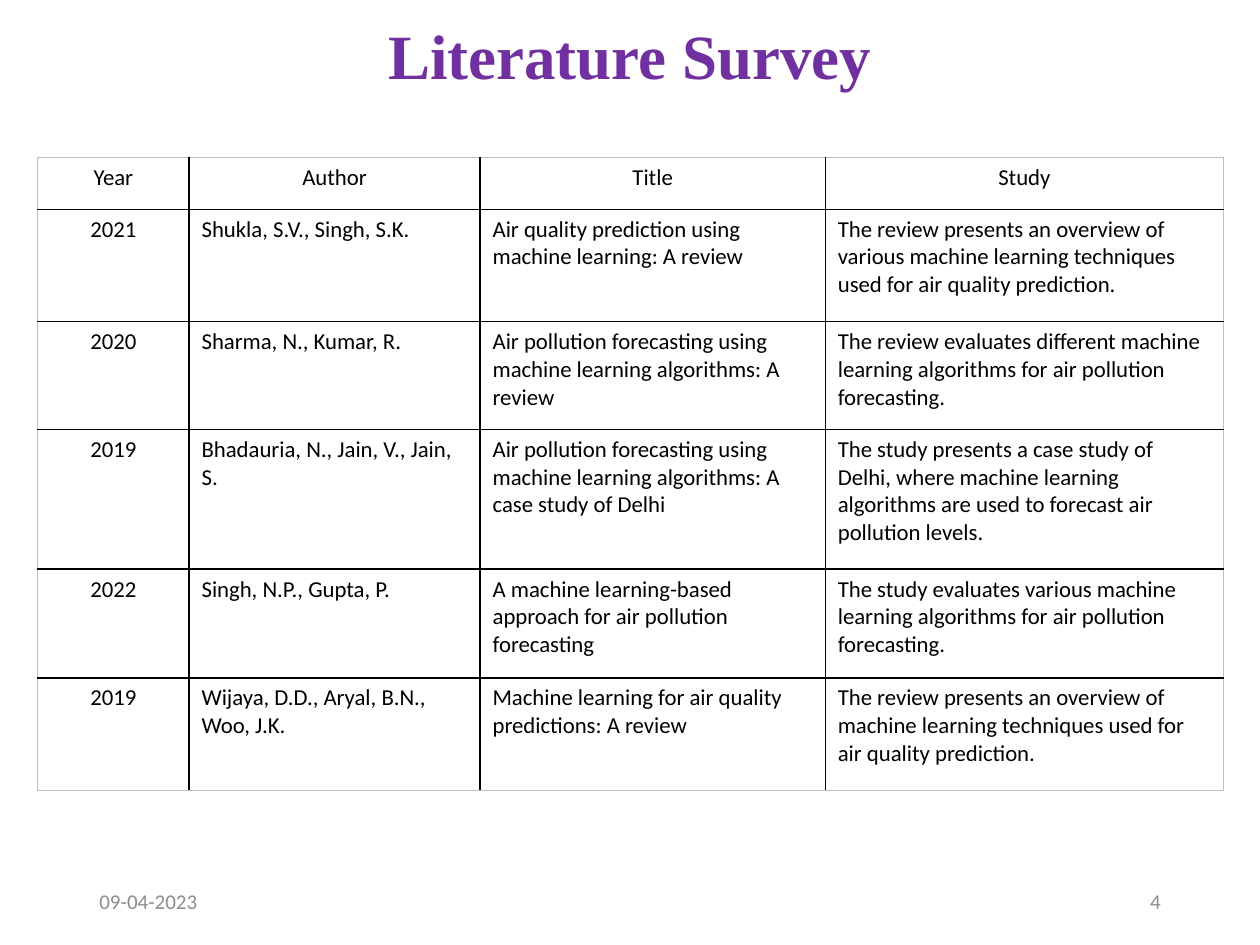
import pptx
import pptx.util
import pptx.dml.color
import pptx.enum.text
import pptx.oxml.ns
import lxml.etree

RGB = pptx.dml.color.RGBColor
ALIGN = pptx.enum.text.PP_ALIGN
MIDDLE = pptx.enum.text.MSO_ANCHOR.MIDDLE

PURPLE = RGB(0x70, 0x30, 0xA0)
BLACK = RGB(0x00, 0x00, 0x00)
WHITE = RGB(0xFF, 0xFF, 0xFF)
GRAY = RGB(0x8C, 0x8C, 0x8C)
SILVER = RGB(0xBF, 0xBF, 0xBF)

# Column widths and row heights in percent of the slide
COLS = [12, 23.1, 27.4, 31.6]
ROWS = [5.5, 11.9, 11.4, 14.8, 11.5, 11.9]

STUDIES = [
    ("Year", "Author", "Title", "Study"),
    ("2021", "Shukla, S.V., Singh, S.K.",
     "Air quality prediction using machine learning: A review",
     "The review presents an overview of various machine learning "
     "techniques used for air quality prediction."),
    ("2020", "Sharma, N., Kumar, R.",
     "Air pollution forecasting using machine learning algorithms: A review",
     "The review evaluates different machine learning algorithms "
     "for air pollution forecasting."),
    ("2019", "Bhadauria, N., Jain, V., Jain, S.",
     "Air pollution forecasting using machine learning algorithms: "
     "A case study of Delhi",
     "The study presents a case study of Delhi, where machine learning "
     "algorithms are used to forecast air pollution levels."),
    ("2022", "Singh, N.P., Gupta, P.",
     "A machine learning-based approach for air pollution forecasting",
     "The study evaluates various machine learning algorithms "
     "for air pollution forecasting."),
    ("2019", "Wijaya, D.D., Aryal, B.N., Woo, J.K.",
     "Machine learning for air quality predictions: A review",
     "The review presents an overview of machine learning techniques "
     "used for air quality prediction."),
]


class Deck:
    """Holds the style and the current slide; lengths are percent of the slide."""

    head = "Times New Roman"
    body = "Calibri"

    def __init__(self, wide, high):
        self.file = pptx.Presentation()
        self.file.slide_width = pptx.util.Inches(wide)
        self.file.slide_height = pptx.util.Inches(high)
        self.slide = self.file.slides.add_slide(self.file.slide_layouts[5])

    def across(self, part):
        return round(self.file.slide_width * part / 100)

    def down(self, part):
        return round(self.file.slide_height * part / 100)

    def area(self, left, top, width, height):
        return (self.across(left), self.down(top),
                self.across(width), self.down(height))

    def label(self, frame, text, size, color, align, font=body, bold=False):
        frame.word_wrap = True
        para = frame.paragraphs[0]
        para.alignment = align
        run = para.add_run()
        run.text = text
        run.font.name = font
        run.font.size = pptx.util.Pt(size)
        run.font.bold = bold
        run.font.color.rgb = color
        return para

    def title(self, text, *area):
        shape = self.slide.shapes.title
        shape.left, shape.top, shape.width, shape.height = self.area(*area)
        frame = shape.text_frame
        frame.auto_size = pptx.enum.text.MSO_AUTO_SIZE.NONE
        frame.vertical_anchor = MIDDLE
        para = self.label(frame, text, 36, PURPLE, ALIGN.CENTER,
                          self.head, True)
        para.line_spacing = 0.9

    def note(self, text, align, *area):
        frame = self.slide.shapes.add_textbox(*self.area(*area)).text_frame
        frame.vertical_anchor = MIDDLE
        self.label(frame, text, 12, GRAY, align)

    def edge(self, cell, side, color, width):
        name = pptx.oxml.ns.qn
        line = lxml.etree.SubElement(cell._tc.get_or_add_tcPr(),
                                     name("a:ln" + side),
                                     w=str(pptx.util.Pt(width)))
        fill = lxml.etree.SubElement(line, name("a:solidFill"))
        lxml.etree.SubElement(fill, name("a:srgbClr"), val=str(color))

    def table(self, data, cols, rows, left, top):
        area = self.area(left, top, sum(cols), sum(rows))
        grid = self.slide.shapes.add_table(len(rows), len(cols), *area).table
        grid.first_row = grid.horz_banding = False
        for col, width in zip(grid.columns, cols):
            col.width = self.across(width)
        for row, height in zip(grid.rows, rows):
            row.height = self.down(height)
        for r, line in enumerate(data):
            for c, text in enumerate(line):
                cell = grid.cell(r, c)
                outer = {"L": c == 0, "R": c == len(cols) - 1,
                         "T": r == 0, "B": r == len(rows) - 1}
                for side, rim in outer.items():
                    self.edge(cell, side, *((SILVER, 0.5) if rim
                                            else (BLACK, 1)))
                cell.fill.solid()
                cell.fill.fore_color.rgb = WHITE
                mid = r == 0 or c == 0
                self.label(cell.text_frame, text, 13, BLACK,
                           ALIGN.CENTER if mid else ALIGN.LEFT)


def main():
    deck = Deck(10, 7.5)
    deck.title("Literature Survey", 6.9, 2.4, 86.2, 7.7)
    deck.table(STUDIES, COLS, ROWS, 3, 16.65)
    deck.note("09-04-2023", ALIGN.LEFT, 6.9, 92.7, 22.5, 5.3)
    deck.note("4", ALIGN.RIGHT, 70.6, 92.7, 22.5, 5.3)
    deck.file.save("out.pptx")


if __name__ == "__main__":
    main()
